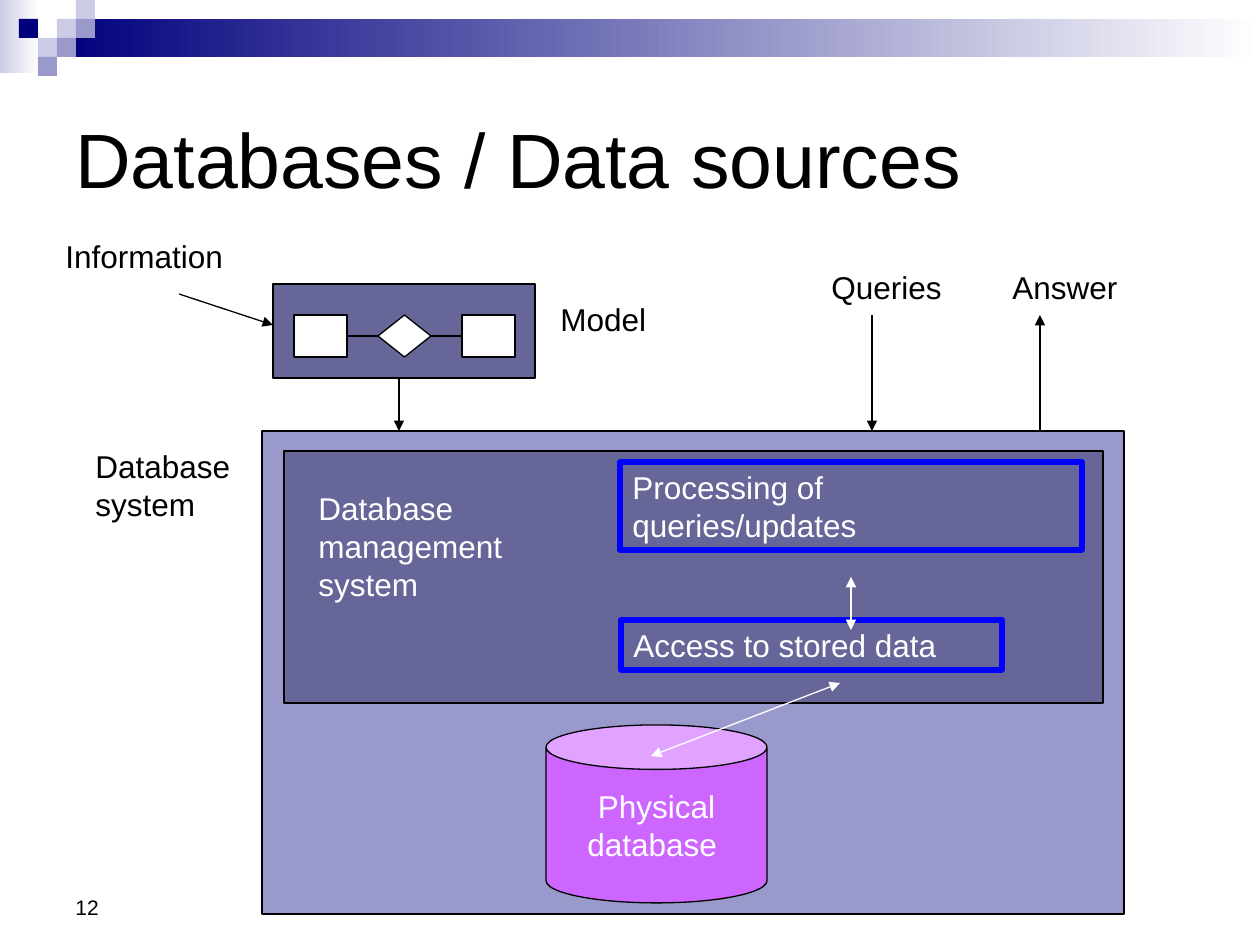
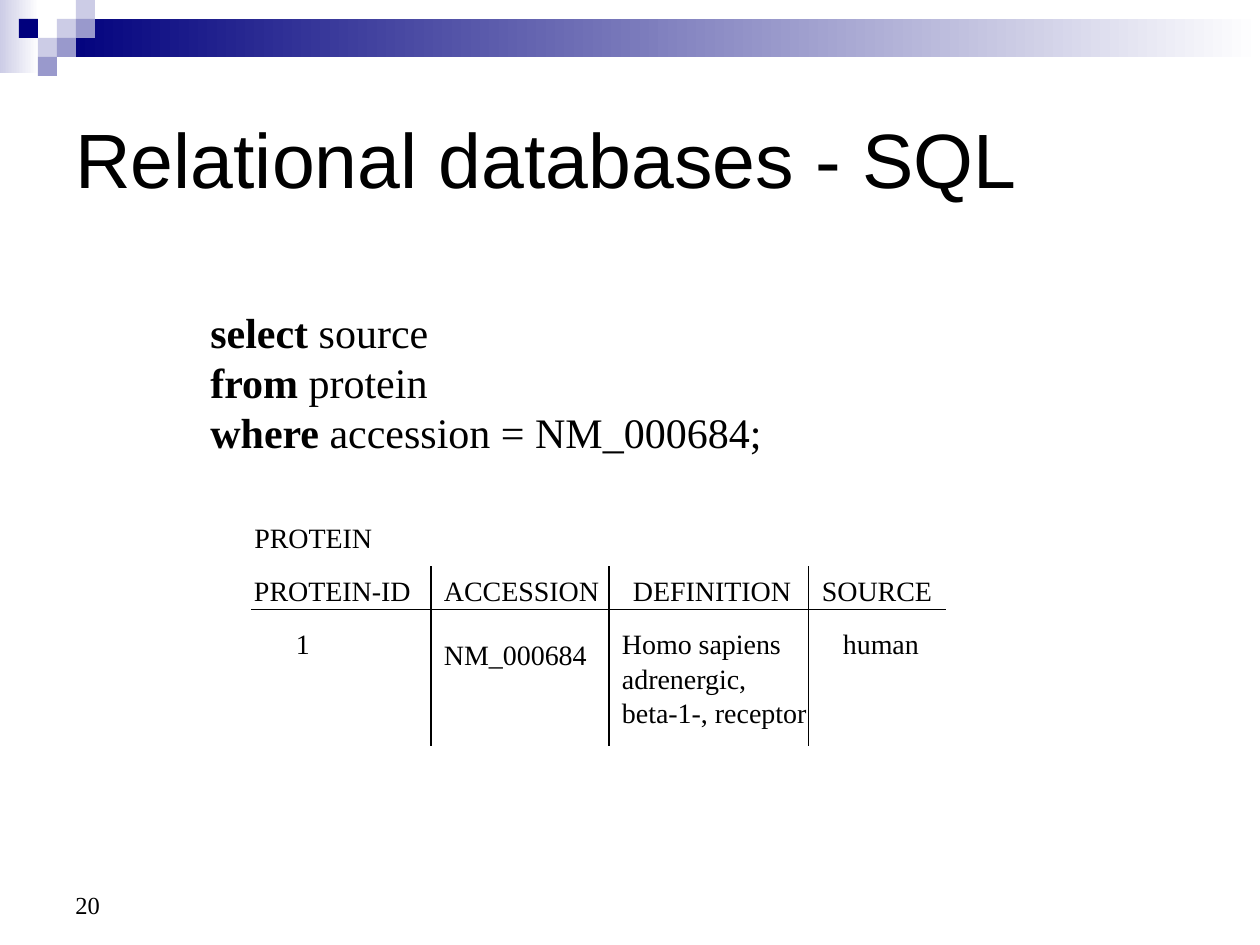
from dataclasses import dataclass

from lxml.etree import SubElement
from pptx import Presentation
from pptx.dml.color import RGBColor
from pptx.enum.shapes import MSO_CONNECTOR as Link, MSO_SHAPE as Shape
from pptx.enum.text import MSO_ANCHOR as Anchor, PP_ALIGN as Align
from pptx.oxml.ns import qn
from pptx.util import Emu, Pt

SCALE = 914400 / 126


@dataclass(frozen=True)
class Theme:
    black: str = "000000"
    white: str = "FFFFFF"
    navy: str = "00007D"
    pale: str = "CCCCE6"
    lilac: str = "9999CC"
    slate: str = "666699"
    violet: str = "CC66FF"
    blue: str = "0000FF"
    sans: str = "Arial"
    serif: str = "Times New Roman"
    title_size: int = 44
    query_size: int = 24
    label_size: int = 18
    table_size: int = 16
    thin: float = 0.75
    thick: float = 3
    table_spacing: float = 1.1


THEME = Theme()

TILE = 19
BANDS = [((0, 0, 39, 73), THEME.pale), ((57, 19, 1203, 38), THEME.navy)]
TILES = [
    (3, 1, THEME.pale), (4, 0, THEME.pale), (4, 1, THEME.lilac),
    (2, 2, THEME.pale), (1, 1, THEME.navy), (3, 2, THEME.lilac),
    (2, 3, THEME.lilac),
]

LABELS = [
    (["Information"], (53, 231, 195, 50)),
    (["Model"], (548, 294, 123, 50)),
    (["Queries"], (819, 262, 147, 50)),
    (["Answer"], (1000, 262, 142, 50)),
    (["Database", "system"], (83, 441, 172, 88)),
]
SYSTEM_AREA = (262, 431, 862, 483)
STORE = (["Physical", "database "], (546, 725, 221, 178))
MANAGER_AREA = (284, 451, 819, 252)
MANAGER = (["Database", "management", "system"], (306, 483, 221, 126))
COMPONENTS = [
    (["Processing of", "queries/updates"], (620, 462, 462, 88)),
    (["Access to stored data"], (621, 620, 381, 50)),
]
MODEL_AREA = (273, 284, 262, 94)
MODEL_PARTS = [Shape.RECTANGLE, Shape.FLOWCHART_DECISION, Shape.RECTANGLE]
MODEL_START, MODEL_STEP, MODEL_TOP, MODEL_SIZE = 294, 84, 315, (53, 42)
EXCHANGES = [(851, 577, 851, 630), (840, 683, 651, 756)]
FLOWS = [
    (872, 315, 872, 431), (1040, 431, 1040, 315),
    (179, 294, 273, 325), (399, 378, 399, 431),
]

QUERY = [("select", " source"), ("from", " protein"),
         ("where", " accession = NM_000684;")]
TABLE_NAME = "PROTEIN"
TABLE_ORIGIN = (252, 567)
COLUMN_WIDTHS = [179, 178, 200, 136]
ROW_HEIGHTS = [42, 137]
TABLE_ROWS = [
    [(["PROTEIN-ID"], 2, 6), (["ACCESSION"], 13, 6),
     (["DEFINITION"], 24, 6), (["SOURCE"], 13, 6)],
    [(["1"], 44, 17), (["NM_000684"], 13, 28),
     (["Homo sapiens adrenergic,", "beta-1-, receptor"], 13, 17),
     (["human"], 34, 17)],
]


def px(value):
    return Emu(round(value * SCALE))


def place(area):
    return [px(value) for value in area]


def rgb(colour):
    return RGBColor.from_string(colour)


def write(frame, lines, size, font=THEME.sans, colour=THEME.black,
          align=Align.LEFT, spacing=1.0):
    for index, line in enumerate(lines):
        para = frame.paragraphs[0] if index == 0 else frame.add_paragraph()
        para.alignment = align
        para.line_spacing = spacing
        parts = [(line, False)] if isinstance(line, str) else line
        for text, bold in parts:
            span = para.add_run()
            span.text = text
            span.font.name = font
            span.font.size = Pt(size)
            span.font.bold = bold
            span.font.color.rgb = rgb(colour)


def add_label(page, lines, area, size, anchor=Anchor.TOP, **style):
    box = page.shapes.add_textbox(*place(area))
    box.text_frame.word_wrap = True
    box.text_frame.vertical_anchor = anchor
    write(box.text_frame, lines, size, **style)


def add_box(page, area, fill=None, line=None, width=THEME.thin,
            kind=Shape.RECTANGLE):
    box = page.shapes.add_shape(kind, *place(area))
    box.shadow.inherit = False
    if fill:
        box.fill.solid()
        box.fill.fore_color.rgb = rgb(fill)
    else:
        box.fill.background()
    if line:
        box.line.color.rgb = rgb(line)
        box.line.width = Pt(width)
    else:
        box.line.fill.background()
    return box


def add_line(page, ends, colour=THEME.black, heads=()):
    link = page.shapes.add_connector(Link.STRAIGHT, *place(ends))
    link.line.color.rgb = rgb(colour)
    link.line.width = Pt(THEME.thin)
    outline = link.line._get_or_add_ln()
    for head in heads:
        SubElement(outline, qn(f"a:{head}"), type="triangle")
    SubElement(link._element.spPr, qn("a:effectLst"))
    return link


def add_page(deck, title, number, number_size, number_font):
    page = deck.slides.add_slide(deck.slide_layouts[6])
    for area, colour in BANDS:
        band = add_box(page, area, colour)
        band.fill.gradient()
        band.fill.gradient_angle = 0
        for stop, shade in zip(band.fill.gradient_stops, (colour, THEME.white)):
            stop.color.rgb = rgb(shade)
    for column, row, colour in TILES:
        add_box(page, (column * TILE, row * TILE, TILE, TILE), colour)
    add_label(page, [number], (63, 861, 294, 65), number_size, Anchor.BOTTOM,
              font=number_font)
    add_label(page, [title], (63, 63, 1134, 189), THEME.title_size,
              Anchor.MIDDLE)
    return page


def add_model(page):
    add_box(page, MODEL_AREA, THEME.slate, THEME.black)
    parts = [
        add_box(page, (MODEL_START + index * MODEL_STEP, MODEL_TOP, *MODEL_SIZE),
                THEME.white, THEME.black, kind=kind)
        for index, kind in enumerate(MODEL_PARTS)
    ]
    for left, right in zip(parts, parts[1:]):
        link = add_line(page, (0, 0, 0, 0))
        link.begin_connect(left, 3)
        link.end_connect(right, 1)


def build_architecture(deck):
    page = add_page(deck, "Databases / Data sources", "12", 12, THEME.sans)
    for lines, area in LABELS:
        add_label(page, lines, area, THEME.label_size)
    add_box(page, SYSTEM_AREA, THEME.lilac, THEME.black)

    lines, area = STORE
    store = add_box(page, area, THEME.violet, THEME.black, kind=Shape.CAN)
    store.text_frame.word_wrap = False
    store.text_frame.vertical_anchor = Anchor.MIDDLE
    write(store.text_frame, lines, THEME.label_size, colour=THEME.white,
          align=Align.CENTER)

    add_box(page, MANAGER_AREA, THEME.slate, THEME.black)
    add_label(page, *MANAGER, THEME.label_size, colour=THEME.white)
    for lines, area in COMPONENTS:
        box = add_box(page, area, line=THEME.blue, width=THEME.thick)
        box.text_frame.word_wrap = True
        box.text_frame.vertical_anchor = Anchor.TOP
        write(box.text_frame, lines, THEME.label_size, colour=THEME.white)
    for ends in EXCHANGES:
        add_line(page, ends, THEME.white, ("headEnd", "tailEnd"))
    add_model(page)
    for ends in FLOWS:
        add_line(page, ends, heads=("tailEnd",))


def add_borders(cell, sides):
    properties = cell._tc.get_or_add_tcPr()
    for side in sides:
        border = SubElement(properties, qn(f"a:ln{side}"), w=str(Pt(THEME.thin)))
        fill = SubElement(border, qn("a:solidFill"))
        SubElement(fill, qn("a:srgbClr"), val=THEME.black)


def add_protein_table(page):
    size = (sum(COLUMN_WIDTHS), sum(ROW_HEIGHTS))
    table = page.shapes.add_table(len(ROW_HEIGHTS), len(COLUMN_WIDTHS),
                                  *place(TABLE_ORIGIN + size)).table
    table.first_row = table.horz_banding = False
    for column, width in zip(table.columns, COLUMN_WIDTHS):
        column.width = px(width)
    for row, height in zip(table.rows, ROW_HEIGHTS):
        row.height = px(height)
    last = len(COLUMN_WIDTHS) - 1
    for row, entries in enumerate(TABLE_ROWS):
        for column, (lines, left, top) in enumerate(entries):
            cell = table.cell(row, column)
            cell.margin_left, cell.margin_top = px(left), px(top)
            cell.margin_right = cell.margin_bottom = 0
            sides = "L" * (column > 0) + "R" * (column < last)
            add_borders(cell, sides + ("T" if row else "B"))
            cell.fill.background()
            write(cell.text_frame, lines, THEME.table_size, THEME.serif,
                  spacing=THEME.table_spacing)


def build_query(deck):
    page = add_page(deck, "Relational databases - SQL", "20", 14, THEME.serif)
    lines = [[(keyword, True), (rest, False)] for keyword, rest in QUERY]
    add_label(page, lines, (198, 300, 620, 164), THEME.query_size,
              font=THEME.serif)
    add_label(page, [TABLE_NAME], (242, 514, 165, 47), THEME.table_size,
              font=THEME.serif)
    add_protein_table(page)


def main():
    deck = Presentation()
    deck.slide_width, deck.slide_height = px(1260), px(945)
    build_architecture(deck)
    build_query(deck)
    deck.save("out.pptx")


if __name__ == "__main__":
    main()
